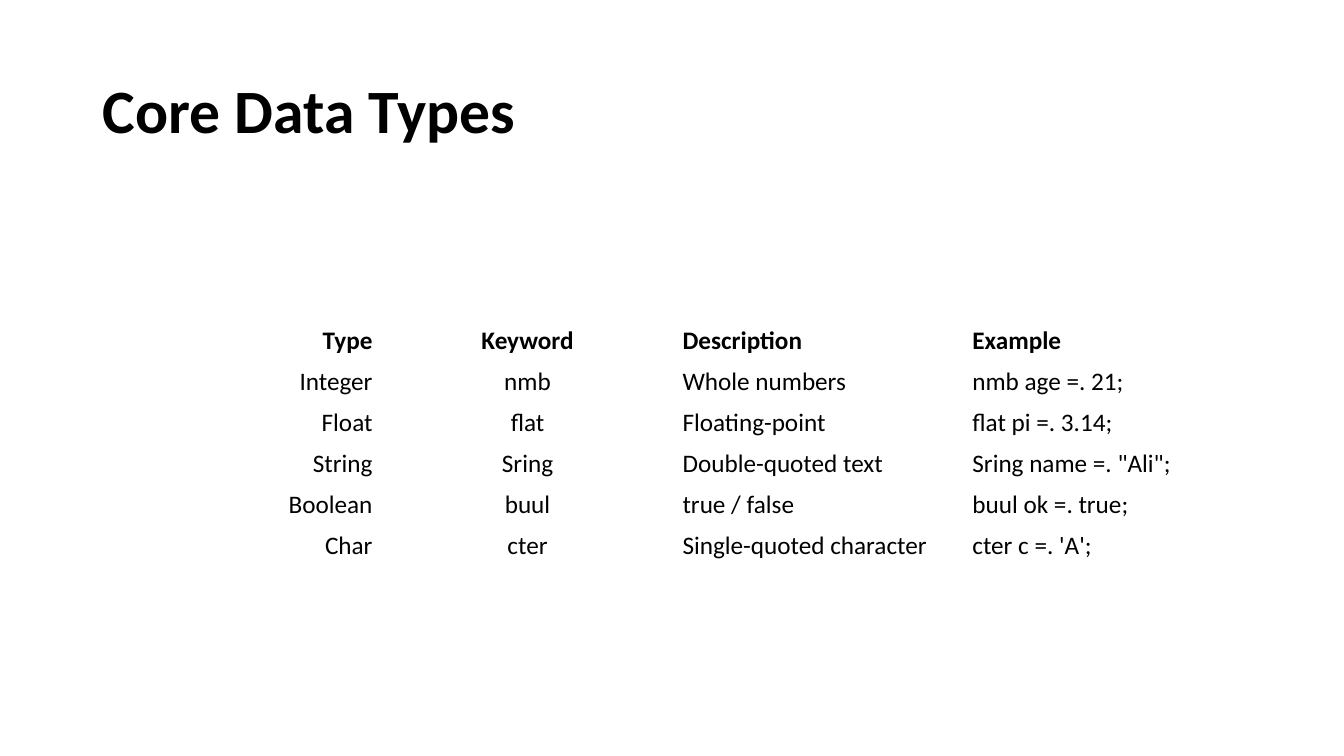
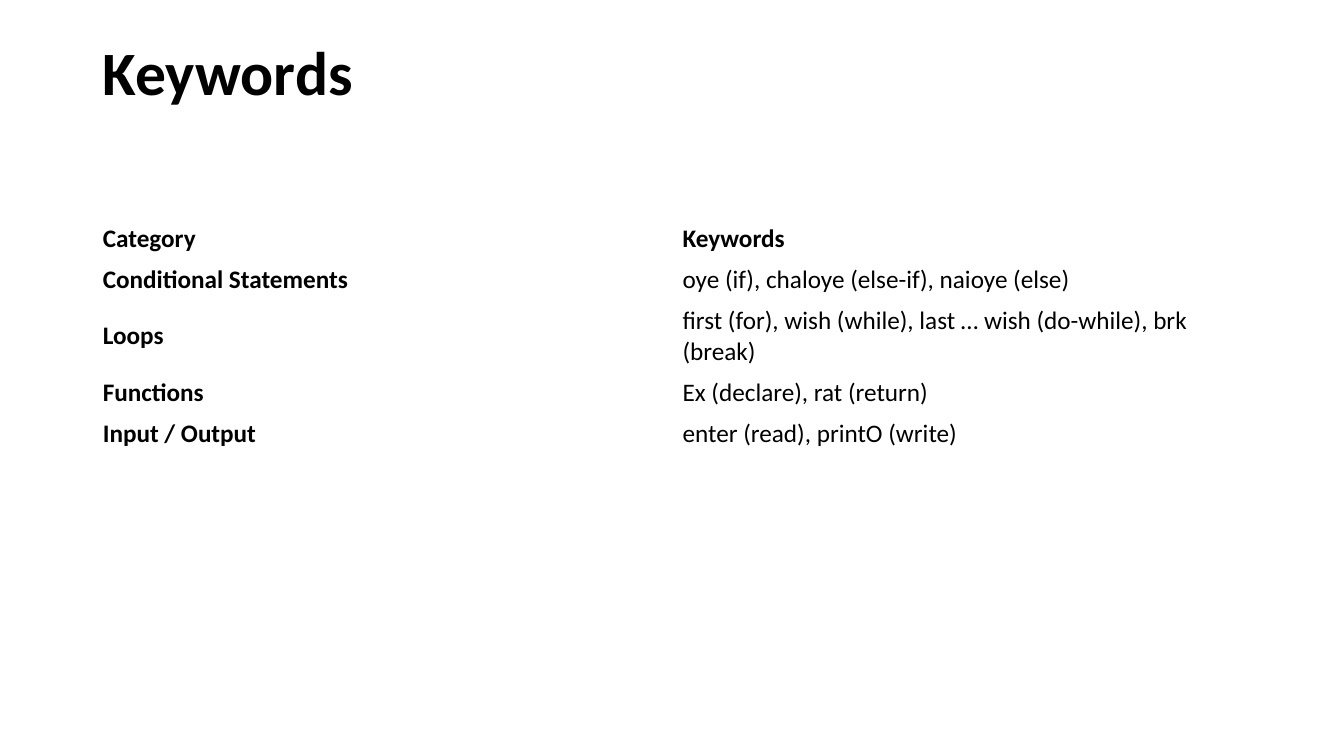
"""Build two slides that list the data types and keywords of a small language."""

from dataclasses import dataclass

from pptx import Presentation
from pptx.dml.color import RGBColor
from pptx.enum.text import MSO_ANCHOR, MSO_AUTO_SIZE, PP_ALIGN
from pptx.util import Inches, Pt

FONT = "Calibri"
BLACK = "000000"
LEFT, WIDTH = 0.92, 11.5
TITLE_TOP, TITLE_HEIGHT = 0.4, 1.45
ROW_HEIGHT = 0.4


@dataclass(frozen=True)
class Column:
    """Alignment and body weight of one table column."""

    align: PP_ALIGN = PP_ALIGN.LEFT
    bold: bool = False


@dataclass(frozen=True)
class TableSlide:
    """Content of a slide with a title above a table."""

    title: str
    table_top: float
    columns: tuple[Column, ...]
    rows: tuple[tuple[str, ...], ...]
    title_bottom_margin: float = 0.05


SLIDES = (
    TableSlide(
        title="Core Data Types",
        table_top=3.18,
        columns=(Column(PP_ALIGN.RIGHT), Column(PP_ALIGN.CENTER), Column(), Column()),
        rows=(
            ("Type", "Keyword", "Description", "Example"),
            ("Integer", "nmb", "Whole numbers", "nmb age =. 21;"),
            ("Float", "flat", "Floating-point", "flat pi =. 3.14;"),
            ("String", "Sring", "Double-quoted text", 'Sring name =. "Ali";'),
            ("Boolean", "buul", "true / false", "buul ok =. true;"),
            ("Char", "cter", "Single-quoted character", "cter c =. 'A';"),
        ),
    ),
    TableSlide(
        title="Keywords",
        table_top=2.17,
        columns=(Column(bold=True), Column()),
        rows=(
            ("Category", "Keywords"),
            ("Conditional Statements", "oye (if), chaloye (else-if), naioye (else)"),
            ("Loops", "first (for), wish (while), last … wish (do-while), brk (break)"),
            ("Functions", "Ex (declare), rat (return)"),
            ("Input / Output", "enter (read), printO (write)"),
        ),
        title_bottom_margin=0.8,
    ),
)


def color(value: str) -> RGBColor:
    """Turn a hex string into a colour."""
    return RGBColor.from_string(value)


def write_text(text_frame, text: str, *, size: float = 18, bold: bool = False,
               align: PP_ALIGN = PP_ALIGN.LEFT, line_spacing: float = 1.0,
               fill: str = BLACK) -> None:
    """Write one formatted paragraph into a text frame."""
    paragraph = text_frame.paragraphs[0]
    paragraph.alignment = align
    paragraph.line_spacing = line_spacing
    run = paragraph.add_run()
    run.text = text
    run.font.name = FONT
    run.font.size = Pt(size)
    run.font.bold = bold
    run.font.color.rgb = color(fill)


def add_title(slide, content: TableSlide) -> None:
    """Place and fill the title placeholder."""
    title = slide.shapes.title
    title.left, title.top = Inches(LEFT), Inches(TITLE_TOP)
    title.width, title.height = Inches(WIDTH), Inches(TITLE_HEIGHT)
    text_frame = title.text_frame
    text_frame.word_wrap = True
    text_frame.auto_size = MSO_AUTO_SIZE.NONE
    text_frame.vertical_anchor = MSO_ANCHOR.MIDDLE
    text_frame.margin_bottom = Inches(content.title_bottom_margin)
    write_text(text_frame, content.title, size=44, bold=True, line_spacing=0.9)


def add_plain_table(slide, content: TableSlide) -> None:
    """Add a table without fills, with a bold header row."""
    row_count, column_count = len(content.rows), len(content.columns)
    table = slide.shapes.add_table(
        row_count, column_count, Inches(LEFT), Inches(content.table_top),
        Inches(WIDTH), Inches(ROW_HEIGHT * row_count),
    ).table
    table.first_row = False
    table.horz_banding = False
    for row_index, row in enumerate(content.rows):
        for column_index, (text, column) in enumerate(zip(row, content.columns)):
            cell = table.cell(row_index, column_index)
            cell.fill.background()
            cell.vertical_anchor = MSO_ANCHOR.MIDDLE
            write_text(cell.text_frame, text, align=column.align,
                       bold=row_index == 0 or column.bold)


def main() -> None:
    """Build and save the presentation."""
    presentation = Presentation()
    presentation.slide_width = Inches(13.33)
    presentation.slide_height = Inches(7.5)
    title_only = presentation.slide_layouts.get_by_name("Title Only")
    for content in SLIDES:
        slide = presentation.slides.add_slide(title_only)
        add_title(slide, content)
        add_plain_table(slide, content)
    presentation.save("out.pptx")


if __name__ == "__main__":
    main()
